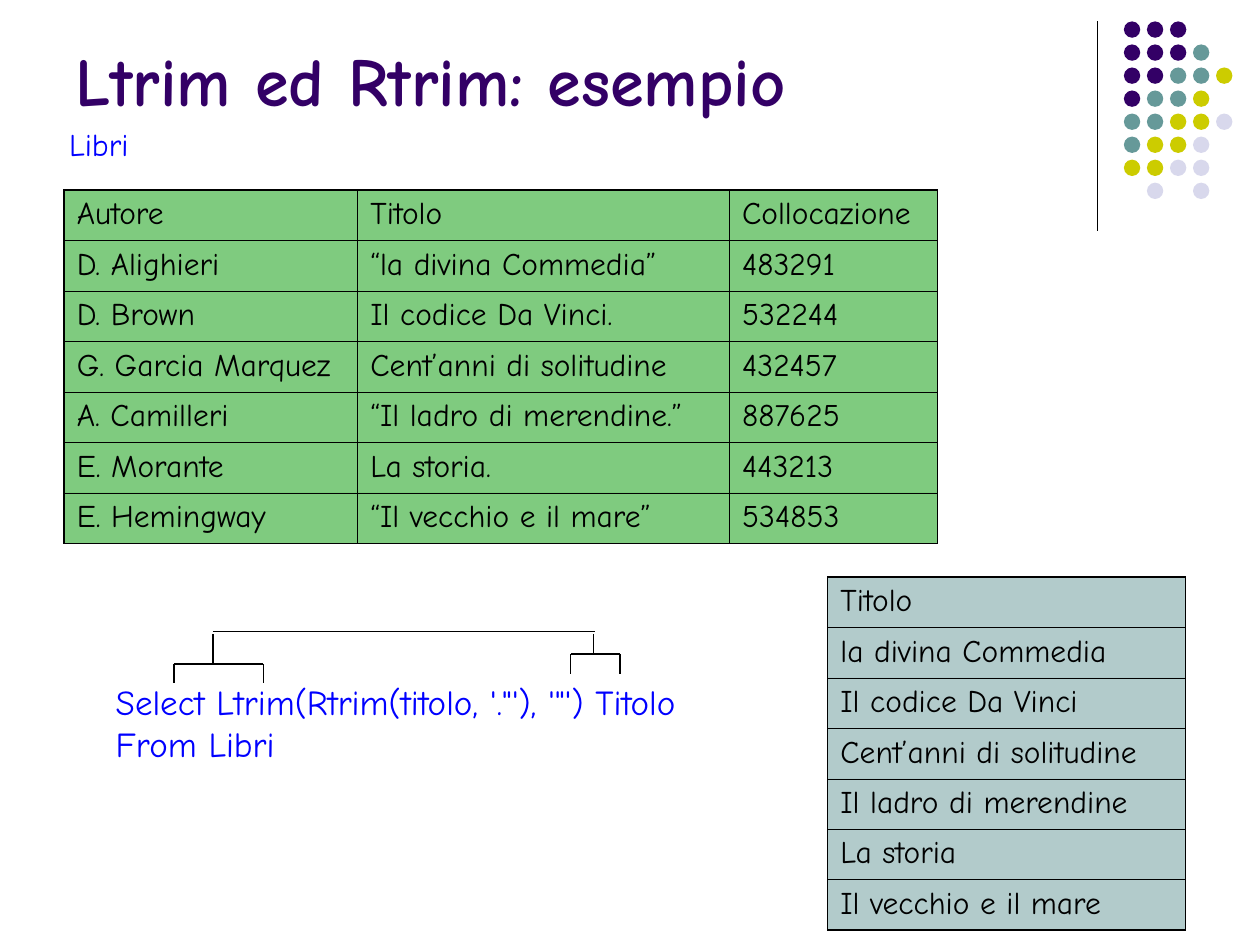
from lxml import etree
from pptx import Presentation
from pptx import util as u
from pptx.dml.color import RGBColor
from pptx.enum import shapes, text
from pptx.oxml import parse_xml
from pptx.oxml.ns import nsdecls, qn


def rgb(value):
    return RGBColor.from_string(value)


def write(frame, content, size=18, color="000000", bold=False, wrap=True, anchor=text.MSO_ANCHOR.TOP):
    frame.word_wrap = wrap
    frame.vertical_anchor = anchor
    frame.text = content
    for paragraph in frame.paragraphs:
        paragraph.font.name = "Comic Neue"
        paragraph.font.size = u.Pt(size)
        paragraph.font.bold = bold
        paragraph.font.color.rgb = rgb(color)


deck = Presentation()
deck.slide_width = u.Inches(10)
deck.slide_height = u.Inches(7.5)
slide = deck.slides.add_slide(deck.slide_layouts[6])

dot_colors = {"P": "330066", "T": "669999", "Y": "CCCC00", "L": "D8D8EC"}
dot_rows = ["PPP", "PPPT", "PPTTY", "PTTY", "TTYYL", "TYYL", "YYLL", " L L"]
dot_pitch = 1.28 / 7
for row, letters in enumerate(dot_rows):
    for column, letter in enumerate(letters):
        if letter == " ":
            continue
        dot = slide.shapes.add_shape(
            shapes.MSO_SHAPE.OVAL,
            u.Inches(8.92 + column * dot_pitch), u.Inches(0.17 + row * dot_pitch),
            u.Inches(0.13), u.Inches(0.13))
        dot.shadow.inherit = False
        dot.fill.solid()
        dot.fill.fore_color.rgb = rgb(dot_colors[letter])
        dot.line.fill.background()

title = slide.shapes.add_textbox(u.Inches(0.5), u.Inches(-0.42), u.Inches(8.25), u.Inches(1.42))
write(title.text_frame, "Ltrim ed Rtrim: esempio", size=39, color="330066", bold=True,
      anchor=text.MSO_ANCHOR.BOTTOM)

books = [
    ["Autore", "Titolo", "Collocazione"],
    ["D. Alighieri", "“la divina Commedia”", "483291"],
    ["D. Brown", "Il codice Da Vinci.", "532244"],
    ["G. Garcia Marquez", "Cent’anni di solitudine", "432457"],
    ["A. Camilleri", "“Il ladro di merendine.”", "887625"],
    ["E. Morante", "La storia.", "443213"],
    ["E. Hemingway", "“Il vecchio e il mare”", "534853"],
]
trimmed = [["Titolo"], ["la divina Commedia"], ["Il codice Da Vinci"], ["Cent’anni di solitudine"],
           ["Il ladro di merendine"], ["La storia"], ["Il vecchio e il mare"]]
row_height = 0.4
thin, thick = 0.45, 1.08
for rows, left, top, widths, tint, side in [
    (books, 0.51, 1.51, [2.33, 2.95, 1.65], "009900", thick),
    (trimmed, 6.57, 4.58, [2.84], "669999", thin),
]:
    table = slide.shapes.add_table(
        len(rows), len(widths), u.Inches(left), u.Inches(top),
        u.Inches(sum(widths)), u.Inches(row_height * len(rows))).table
    table.first_row = False
    table.horz_banding = False
    for column, width in enumerate(widths):
        table.columns[column].width = u.Inches(width)
    for row, entries in enumerate(rows):
        table.rows[row].height = u.Inches(row_height)
        for column, entry in enumerate(entries):
            cell = table.cell(row, column)
            write(cell.text_frame, entry)
            borders = {
                "L": side if column == 0 else thin,
                "R": side if column == len(widths) - 1 else thin,
                "T": thick if row == 0 else thin,
                "B": thick if row == len(rows) - 1 else thin,
            }
            properties = cell._tc.get_or_add_tcPr()
            for edge, weight in borders.items():
                properties.append(parse_xml(
                    f'<a:ln{edge} {nsdecls("a")} w="{u.Pt(weight)}"><a:solidFill>'
                    f'<a:srgbClr val="000000"/></a:solidFill></a:ln{edge}>'))
            cell.fill.solid()
            cell.fill.fore_color.rgb = rgb(tint)
            tint_element = properties.find(qn("a:solidFill")).find(qn("a:srgbClr"))
            etree.SubElement(tint_element, qn("a:alpha")).set("val", "50000")

query = slide.shapes.add_textbox(u.Inches(0.82), u.Inches(5.35), u.Inches(4.66), u.Inches(1.1))
write(query.text_frame, "Select Ltrim(Rtrim(titolo, '.\"'), '\"') Titolo\nFrom Libri",
      size=20, color="0000FF", wrap=False)
table_name = slide.shapes.add_textbox(u.Inches(0.45), u.Inches(0.94), u.Inches(0.67), u.Inches(0.4))
write(table_name.text_frame, "Libri", color="0000FF", wrap=False)

divider = [(8.71, 0.17, 8.71, 1.83)]
ltrim_bracket = [(1.38, 5.27, 2.09, 5.27), (1.38, 5.42, 1.38, 5.27),
                 (2.09, 5.27, 2.09, 5.42), (1.69, 5.27, 1.69, 5.03)]
link = [(1.69, 5.01, 4.72, 5.01)]
quote_bracket = [(4.71, 5.03, 4.71, 5.19), (4.53, 5.19, 4.92, 5.19),
                 (4.53, 5.19, 4.53, 5.35), (4.92, 5.19, 4.92, 5.35)]
for ends in divider + ltrim_bracket + link + quote_bracket:
    stroke = slide.shapes.add_connector(shapes.MSO_CONNECTOR.STRAIGHT, *map(u.Inches, ends))
    stroke.line.color.rgb = rgb("000000")
    stroke.line.width = u.Pt(0.75)
    etree.SubElement(stroke._element.spPr, qn("a:effectLst"))

deck.save("out.pptx")
